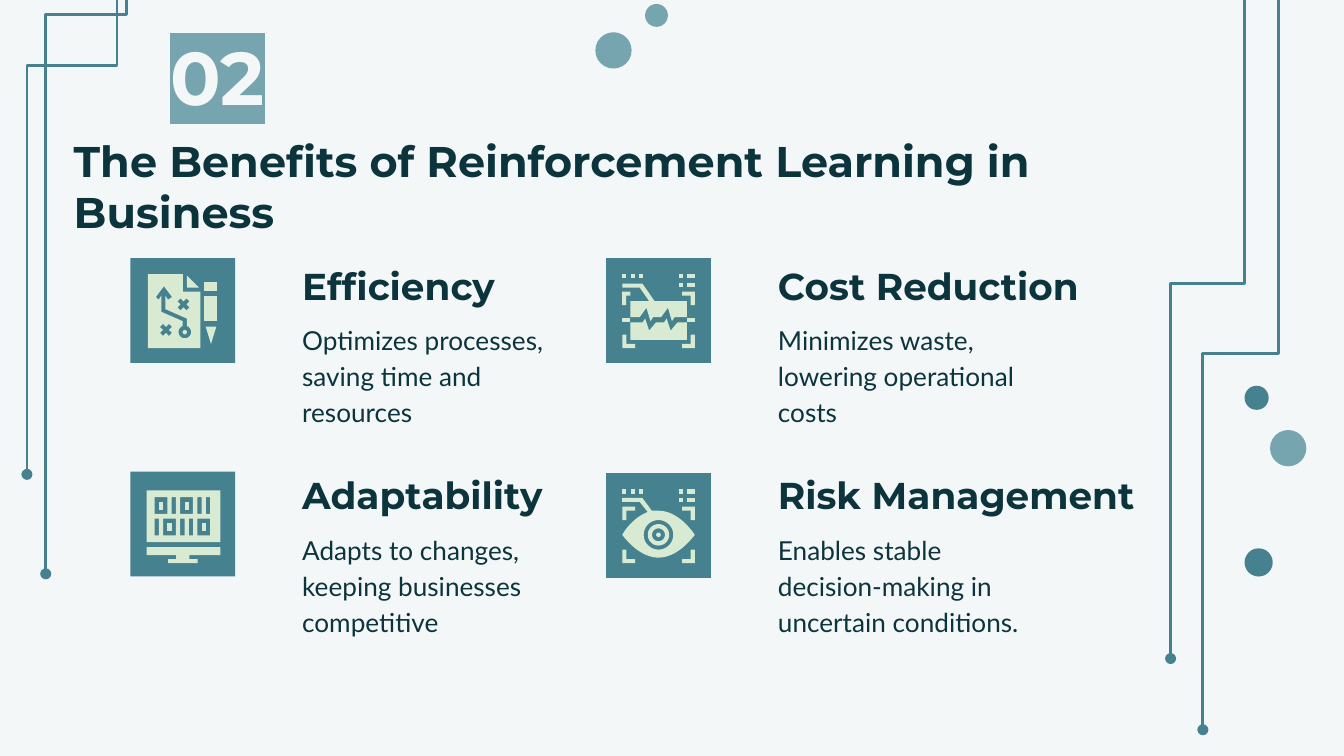
import math
from dataclasses import dataclass

import pptx
import pptx.dml.color
import pptx.enum.shapes
import pptx.enum.text
import pptx.oxml
import pptx.oxml.ns
import pptx.util
from pptx.util import Inches


@dataclass(frozen=True)
class Theme:
    paper: str = "F3F7F8"
    ink: str = "0C343D"
    teal: str = "45818E"
    mist: str = "76A5AF"
    mint: str = "D9EAD3"
    display: str = "Montserrat"
    body: str = "Lato"
    number_size: int = 40
    title_size: int = 23
    heading_size: int = 20
    body_size: int = 14
    line_width: float = 1.5


THEME = Theme()
ANCHOR = pptx.enum.text.MSO_ANCHOR
SHAPE = pptx.enum.shapes.MSO_SHAPE


def rgb(code):
    return pptx.dml.color.RGBColor.from_string(code)


def element(tag, **attributes):
    node = pptx.oxml.parse_xml(f"<{tag} {pptx.oxml.ns.nsdecls('a')}/>")
    for name, value in attributes.items():
        node.set(name, value)
    return node


def paint(shape, color):
    shape.fill.solid()
    shape.fill.fore_color.rgb = rgb(color)
    shape.line.fill.background()
    shape.shadow.inherit = False


def add_preset(slide, kind, box, color):
    paint(slide.shapes.add_shape(kind, *map(Inches, box)), color)


def add_text(slide, box, text, size, font, color=THEME.ink, bold=True,
             anchor=ANCHOR.TOP, spacing=1.0):
    frame = slide.shapes.add_textbox(*map(Inches, box)).text_frame
    frame.word_wrap = True
    frame.vertical_anchor = anchor
    frame.margin_left = frame.margin_right = Inches(0.1)
    frame.margin_top = frame.margin_bottom = Inches(0.1)
    para = frame.paragraphs[0]
    para.line_spacing = spacing
    span = para.add_run()
    span.text = text
    span.font.size = pptx.util.Pt(size)
    span.font.bold = bold
    span.font.color.rgb = rgb(color)
    span.font.name = font
    return span


def highlight(span, color):
    mark = element("a:highlight")
    mark.append(element("a:srgbClr", val=color))
    span.font._element.find(pptx.oxml.ns.qn("a:solidFill")).addnext(mark)


def add_trace(slide, start, end, bend):
    """Draw a down-left-down circuit line whose level part lies at height bend."""
    length, offset = end[1] - start[1], start[0] - end[0]
    middle_x, middle_y = (start[0] + end[0]) / 2, (start[1] + end[1]) / 2
    # A quarter turn makes the elbow leave and arrive vertically.
    trace = slide.shapes.add_connector(
        pptx.enum.shapes.MSO_CONNECTOR.ELBOW,
        Inches(middle_x - length / 2), Inches(middle_y - offset / 2),
        Inches(middle_x + length / 2), Inches(middle_y + offset / 2))
    trace.line.color.rgb = rgb(THEME.teal)
    trace.line.width = pptx.util.Pt(THEME.line_width)
    trace.line._get_or_add_ln().append(element("a:tailEnd", type="oval"))
    properties = trace._element.spPr
    properties.append(element("a:effectLst"))
    properties.find(pptx.oxml.ns.qn("a:xfrm")).set("rot", str(90 * 60000))
    geometry = properties.find(pptx.oxml.ns.qn("a:prstGeom"))
    ratio = round((bend - start[1]) / length * 100000)
    geometry.get_or_add_avLst().append(
        element("a:gd", name="adj1", fmla=f"val {ratio}"))


# Icon outlines are in hundredths of an inch from the corner of their tile.
def rect(x, y, width, height):
    return [(x, y), (x + width, y), (x + width, y + height), (x, y + height)]


def arc(x, y, radius, first=0, last=360):
    return [(x + radius * math.cos(math.radians(angle)),
             y + radius * math.sin(math.radians(angle)))
            for angle in range(first, last + 1, 10)]


def curve(*controls):
    """Sample a cubic Bezier curve."""
    weights = [((1 - t) ** 3, 3 * t * (1 - t) ** 2, 3 * t * t * (1 - t), t ** 3)
               for t in (step / 10 for step in range(11))]
    return [tuple(sum(w * point[axis] for w, point in zip(row, controls))
                  for axis in (0, 1)) for row in weights]


def cross(x, y):
    steps = [(0, -2.2), (2.2, -4.5), (4.5, -2.2), (2.2, 0), (4.5, 2.2), (2.2, 4.5),
             (0, 2.2), (-2.2, 4.5), (-4.5, 2.2), (-2.2, 0), (-4.5, -2.2), (-2.2, -4.5)]
    return [(x + dx, y + dy) for dx, dy in steps]


def bracket(x, y, dx, dy, arm=9.5):
    return [(x + a * dx, y + b * dy) for a, b in
            [(0, 0), (arm, 0), (arm, 3), (3, 3), (3, 10), (0, 10)]]


def plan_icon():
    page = [(13, 12), (13, 67), (52, 67), (52, 25), (39, 25), (39, 12)]
    route = [(25, 21), (31, 29), (28, 31), (26, 28), (26, 38), (42, 45),
             *arc(40.5, 55, 4.7, -70, 250),
             (39, 47), (23, 40), (23, 28), (21, 31), (19, 29)]
    return [[page, cross(39.5, 34.5), cross(26.5, 53.5), route],
            [arc(40.5, 55.2, 1.6)], [[(42, 13), (42, 22), (51, 22)]],
            [rect(55, 18, 9.5, 6.5)], [rect(55, 28, 9.5, 19)],
            [[(56, 51), (60, 64), (64, 51)]]]


def scan_frame(top_left_arm):
    dots = [(12, 12, 3), (18.3, 12, 3), (24.8, 12, 3), (54, 12, 3), (54, 18.5, 3),
            (60, 12, 6), (60, 18.5, 6)]
    return [[rect(x, y, width, 3.2)] for x, y, width in dots] + [
        [bracket(12, 25, 1, 1, top_left_arm)], [bracket(66, 25, -1, 1)],
        [bracket(12, 67, 1, -1)], [bracket(66, 67, -1, -1)]]


def signal_icon():
    upper = [(12, 19), (12, 22), (25, 22), (32, 32), (18, 32), (18, 44), (25, 44),
             (30, 37), (33, 47), (35, 44), (41, 44), (46, 37), (49, 47), (51, 44),
             (60, 44), (60, 32), (36, 32), (27, 19)]
    lower = [(29, 45), (27, 48), (18, 48), (18, 61), (60, 61), (60, 48), (53, 48),
             (48, 54), (45, 45), (43, 48), (37, 48), (32, 54)]
    return scan_frame(6) + [[upper], [lower], [rect(12, 44.5, 6, 3.2)],
                            [rect(60, 44.5, 6, 3.2)]]


def eye_icon():
    lid = [(12, 18.5), (12, 21.5), (25, 21.5),
           *curve((31, 29), (23, 32), (16, 39), (12, 46)),
           *curve((12, 46), (18, 54), (28, 63), (39, 63)),
           *curve((39, 63), (50, 63), (60, 54), (66, 46)),
           *curve((66, 46), (60, 37), (50, 28), (39, 28)), (34, 28), (27, 18.5)]
    return scan_frame(9.5) + [[lid, arc(39, 46, 11)],
                              [arc(39, 46, 8), arc(39, 46, 4.8)], [arc(39, 46, 1.7)]]


def monitor_icon():
    screen, cores = [rect(12, 14, 55, 38.5)], []
    for y, digits in ((19, "01011"), (35, "10110")):
        x = 18
        for digit in digits:
            width = 9.5 if digit == "0" else 3.2
            screen.append(rect(x, y, width, 12.5))
            if digit == "0":
                cores.append([rect(x + 3.2, y + 3.2, 3.2, 6.2)])
            x += width + 3.2
    stand = [(12, 56), (12, 62), (34, 62), (34, 65), (28, 65), (28, 68), (50, 68),
             (50, 65), (44, 65), (44, 62), (67, 62), (67, 56)]
    return [screen, *cores, [stand]]


def add_icon(slide, left, top, outlines):
    add_preset(slide, SHAPE.RECTANGLE, (left, top, 0.78, 0.78), THEME.teal)
    group = slide.shapes.add_group_shape()
    for contours in outlines:
        placed = [[(Inches(left + x / 100), Inches(top + y / 100)) for x, y in contour]
                  for contour in contours]
        builder = group.shapes.build_freeform(*placed[0][0])
        builder.add_line_segments(placed[0][1:], close=True)
        for hole in placed[1:]:
            builder.move_to(*hole[0])
            builder.add_line_segments(hole[1:], close=True)
        paint(builder.convert_to_shape(), THEME.mint)


def add_benefit(slide, left, tile_top, text_top, text_width, heading, detail, outlines):
    heading_width, body_width = text_width
    add_icon(slide, left, tile_top, outlines)
    text_left = left + 1.18
    add_text(slide, (text_left, text_top, heading_width, 0.44), heading,
             THEME.heading_size, THEME.display, anchor=ANCHOR.BOTTOM, spacing=1.15)
    add_text(slide, (text_left, text_top + 0.33, body_width, 0.73), detail,
             THEME.body_size, THEME.body, bold=False, spacing=1.15)


def add_decoration(slide):
    for start, end, bend in [((0.94, -0.86), (0.34, 4.27), 0.11),
                             ((0.87, -1), (0.2, 3.53), 0.49),
                             ((9.51, -0.17), (8.95, 5.43), 2.63),
                             ((9.26, -0.69), (8.71, 4.9), 2.11)]:
        add_trace(slide, start, end, bend)
    for left, top, size, color in [
            (4.43, 0.24, 0.27, THEME.mist), (4.8, 0.03, 0.17, THEME.mist),
            (9.45, 3.2, 0.27, THEME.mist), (9.26, 4.08, 0.21, THEME.teal),
            (9.26, 2.87, 0.18, THEME.teal)]:
        add_preset(slide, SHAPE.OVAL, (left, top, size, size), color)


def add_header(slide, left, top):
    number = add_text(slide, (left + 0.72, top, 1.07, 0.61), "02", THEME.number_size,
                      THEME.display, THEME.paper)
    highlight(number, THEME.mist)
    add_text(slide, (left, top + 0.77, 8.88, 0.63),
             "The Benefits of Reinforcement Learning in Business",
             THEME.title_size, THEME.display)


def main():
    deck = pptx.Presentation()
    deck.slide_width = Inches(10)
    deck.slide_height = deck.slide_width * 9 // 16
    slide = deck.slides.add_slide(deck.slide_layouts[6])
    slide.background.fill.solid()
    slide.background.fill.fore_color.rgb = rgb(THEME.paper)
    add_decoration(slide)
    add_header(slide, 0.45, 0.13)
    for benefit in [
            (0.97, 1.92, 1.95, (2.16, 2.36), "Efficiency",
             "Optimizes processes, saving time and resources", plan_icon()),
            (4.51, 1.92, 1.95, (2.65, 2.16), "Cost Reduction",
             "Minimizes waste, lowering operational costs", signal_icon()),
            (0.97, 3.51, 3.51, (2.16, 2.16), "Adaptability",
             "Adapts to changes, keeping businesses competitive", monitor_icon()),
            (4.51, 3.52, 3.51, (2.96, 2.16), "Risk Management",
             "Enables stable decision-making in uncertain conditions.", eye_icon())]:
        add_benefit(slide, *benefit)
    deck.save("out.pptx")


if __name__ == "__main__":
    main()
